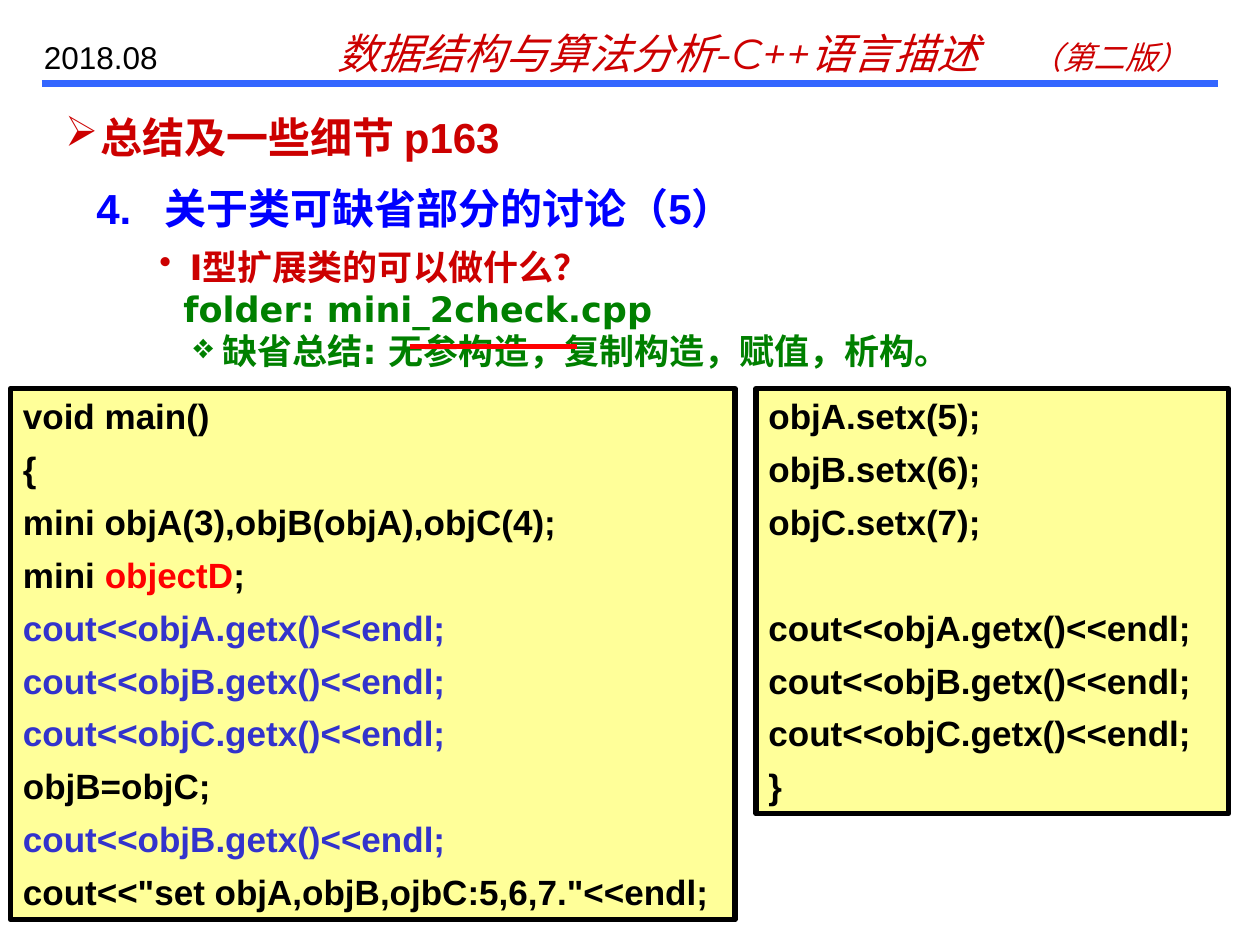
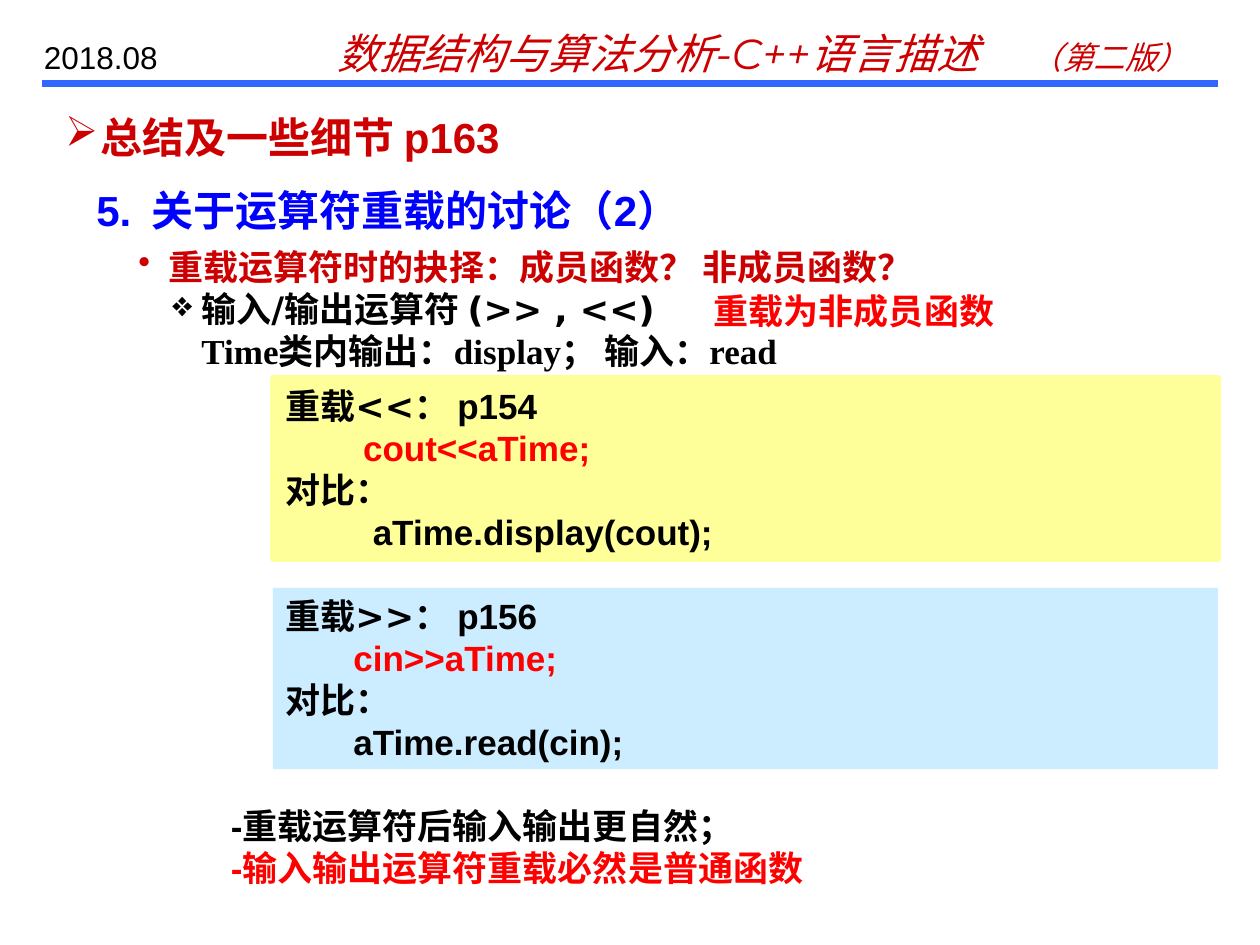
import pptx
import pptx.util
import pptx.dml.color
import pptx.enum.shapes
import pptx.enum.text
import pptx.oxml.ns
from lxml import etree

RGB = pptx.dml.color.RGBColor
RED = RGB(0xCC, 0x00, 0x00)
HOT = RGB(0xFF, 0x00, 0x00)
BLUE = RGB(0x00, 0x00, 0xFF)
RULE = RGB(0x33, 0x66, 0xFF)
INDIGO = RGB(0x33, 0x33, 0xCC)
GREEN = RGB(0x00, 0x80, 0x00)
BLACK = RGB(0x00, 0x00, 0x00)
CREAM = RGB(0xFF, 0xFF, 0x99)
SKY = RGB(0xCC, 0xEC, 0xFF)
SANS, WIDE, SERIF, SLANT = "Arial", "DejaVu Sans", "Times New Roman", "Montserrat"

# Grid: twelve cells to the inch
COLS, ROWS, CELL = 120, 90, 1 / 12
GAP = 6.2   # points between code lines
LINE = 1.2  # line height as a share of the text size

# Content shared by the slides
BOOK = [("数据结构与算法分析-C++语言描述\t", {}), ("（第二版）", {"size": 18})]
DATE = "2018.08"
TITLE = "总结及一些细节 p163"

# A paragraph is (text or runs, format); a run is (text, format)
ASK = {"bullet": "•", "left": 0.24, "hang": 0.24, "color": RED}
ITEM = {"bullet": "❖", "left": 0.5, "hang": 0.23}
SHOW = {"color": INDIGO}
CODE = {"font": SANS}
CALL = {"font": SANS, "color": HOT}

POINTS = [
    ("I型扩展类的可以做什么？", ASK),
    ("folder: mini_2check.cpp", {"left": 0.19}),
    ("缺省总结: 无参构造，复制构造，赋值，析构。", ITEM),
]
MAIN = [
    ("void main()", {}),
    ("{", {}),
    ("mini objA(3),objB(objA),objC(4);", {}),
    ([("mini ", {}), ("objectD", {"color": HOT}), (";", {})], {}),
    ("cout<<objA.getx()<<endl;", SHOW),
    ("cout<<objB.getx()<<endl;", SHOW),
    ("cout<<objC.getx()<<endl;", SHOW),
    ("objB=objC;", {}),
    ("cout<<objB.getx()<<endl;", SHOW),
    ('cout<<"set objA,objB,ojbC:5,6,7."<<endl;', {}),
]
REST = [
    ("objA.setx(5);", {}),
    ("objB.setx(6);", {}),
    ("objC.setx(7);", {}),
    ("cout<<objA.getx()<<endl;", {"before": 2 * GAP + 20 * LINE}),
    ("cout<<objB.getx()<<endl;", {}),
    ("cout<<objC.getx()<<endl;", {}),
    ("}", {}),
]
CHOICE = [
    ("重载运算符时的抉择：成员函数？ 非成员函数？", ASK),
    ("输入/输出运算符 (>> , <<)", ITEM),
    ("Time类内输出：display； 输入：read", {"left": 0.5, "font": SERIF}),
]
# Operator, page, operator call, member call, fill, line
CARDS = [
    ("<<", "p154", "        cout<<aTime;", "         aTime.display(cout);", CREAM, CREAM),
    (">>", "p156", "       cin>>aTime;", "       aTime.read(cin);", SKY, None),
]
NOTES = [
    ("-重载运算符后输入输出更自然；", {}),
    ("-输入输出运算符重载必然是普通函数", {"color": HOT}),
]


def cells(*counts):
    return [pptx.util.Inches(n * CELL) for n in counts]


def child(node, tag, **attrs):
    return etree.SubElement(node, pptx.oxml.ns.qn("a:" + tag), attrs)


def write(frame, paras, size=20, font=SANS, color=BLACK, bold=True, italic=False,
          gap=0, left=0, hang=0, tab=None, wrap=True):
    """Fill a text frame; each paragraph or run may override the format."""
    frame.word_wrap = wrap
    frame.auto_size = pptx.enum.text.MSO_AUTO_SIZE.NONE
    frame.vertical_anchor = pptx.enum.text.MSO_ANCHOR.TOP
    if isinstance(paras, str):
        paras = [(paras, {})]
    base = {"size": size, "font": font, "color": color, "left": left,
            "hang": hang, "tab": tab, "before": gap}
    for i, (runs, extra) in enumerate(paras):
        look = {**base, **extra}
        para = frame.paragraphs[0] if i == 0 else frame.add_paragraph()
        props = para._p.get_or_add_pPr()
        props.set("marL", str(pptx.util.Inches(look["left"])))
        props.set("indent", str(-pptx.util.Inches(look["hang"])))
        if "bullet" in look:
            child(child(props, "buClr"), "srgbClr", val=str(look["color"]))
            child(props, "buChar", char=look["bullet"])
        else:
            child(props, "buNone")
        if look["tab"]:
            stop = str(pptx.util.Inches(look["tab"]))
            child(child(props, "tabLst"), "tab", pos=stop, algn="l")
        para.alignment = pptx.enum.text.PP_ALIGN.LEFT
        para.line_spacing = pptx.util.Pt(look["size"] * LINE)
        para.space_before = pptx.util.Pt(look["before"] if i else 0)
        for text, own in [(runs, {})] if isinstance(runs, str) else runs:
            style = {**look, **own}
            run = para.add_run()
            run.text = text
            run.font.size = pptx.util.Pt(style["size"])
            run.font.name = style["font"]
            run.font.color.rgb = style["color"]
            run.font.bold, run.font.italic = bold, italic


def label(slide, place, paras, **look):
    write(slide.shapes.add_textbox(*cells(*place)).text_frame, paras, **look)


def panel(slide, place, paras, fill, line=None, **look):
    kind = pptx.enum.shapes.MSO_SHAPE.RECTANGLE
    box = slide.shapes.add_shape(kind, *cells(*place))
    box.shadow.inherit = False
    box.fill.solid()
    box.fill.fore_color.rgb = fill
    if line is None:
        box.line.fill.background()
    else:
        box.line.color.rgb = line
        box.line.width = pptx.util.Pt(3)
    write(box.text_frame, paras, **look)


def rule(slide, start, end, row, color, width):
    kind = pptx.enum.shapes.MSO_CONNECTOR.STRAIGHT
    line = slide.shapes.add_connector(kind, *cells(start, row, end, row))
    line.line.color.rgb = color
    line.line.width = pptx.util.Pt(width)
    child(line._element.spPr, "effectLst")


def start(deck, topic, row, hang):
    """Add a slide with the header, title and numbered topic."""
    slide = deck.slides.add_slide(deck.slide_layouts[5])
    rule(slide, 4, COLS - 4, 8, RULE, 4)
    label(slide, (31, 2, 84, 6), [(BOOK, {})], size=24, font=SLANT, color=RED,
          bold=False, italic=True, tab=5.44)
    label(slide, (3, 3, 17, 4.8), DATE, size=18, bold=False)
    head = slide.shapes.title
    head.left, head.top, head.width, head.height = cells(5, 10, 112, 6)
    write(head.text_frame, [(TITLE, {"bullet": "➢"})], size=24, color=RED,
          left=0.28, hang=0.28)
    label(slide, (8, row, 110, 6), topic, size=24, color=BLUE, left=hang, hang=hang)
    return slide


def build():
    deck = pptx.Presentation()
    deck.slide_width, deck.slide_height = cells(COLS, ROWS)

    # Default members: code in two panels
    slide = start(deck, "4.\t关于类可缺省部分的讨论（5）", 16.8, 0.54)
    label(slide, (14, 22.8, 104, 13.2), POINTS, font=WIDE, color=GREEN)
    panel(slide, (1, 37, 69, 50.6), MAIN, CREAM, BLACK, gap=GAP)
    rule(slide, 39, 55, 33, HOT, 3)
    panel(slide, (72, 37, 45, 40.5), REST, CREAM, BLACK, gap=GAP)

    # Operator overloading: one card for each operator
    slide = start(deck, "5.\t关于运算符重载的讨论（2）", 17, 0.44)
    label(slide, (12, 22.8, 103, 13.2), CHOICE, font=WIDE)
    for i, (sign, page, call, member, fill, line) in enumerate(CARDS):
        paras = [
            ([(f"重载{sign}： ", {}), (page, CODE)], {}),
            (call, CALL),
            ("对比：", CODE),
            (member, CODE),
        ]
        panel(slide, (26, 36 + 20 * i, 90, 17.25), paras, fill, line, font=WIDE)
    label(slide, (14.8, 76, 101, 9.2), NOTES, left=0.5)
    label(slide, (66.8, 27, 29, 5.3), "重载为非成员函数", color=HOT, wrap=False)

    deck.save("out.pptx")


if __name__ == "__main__":
    build()
